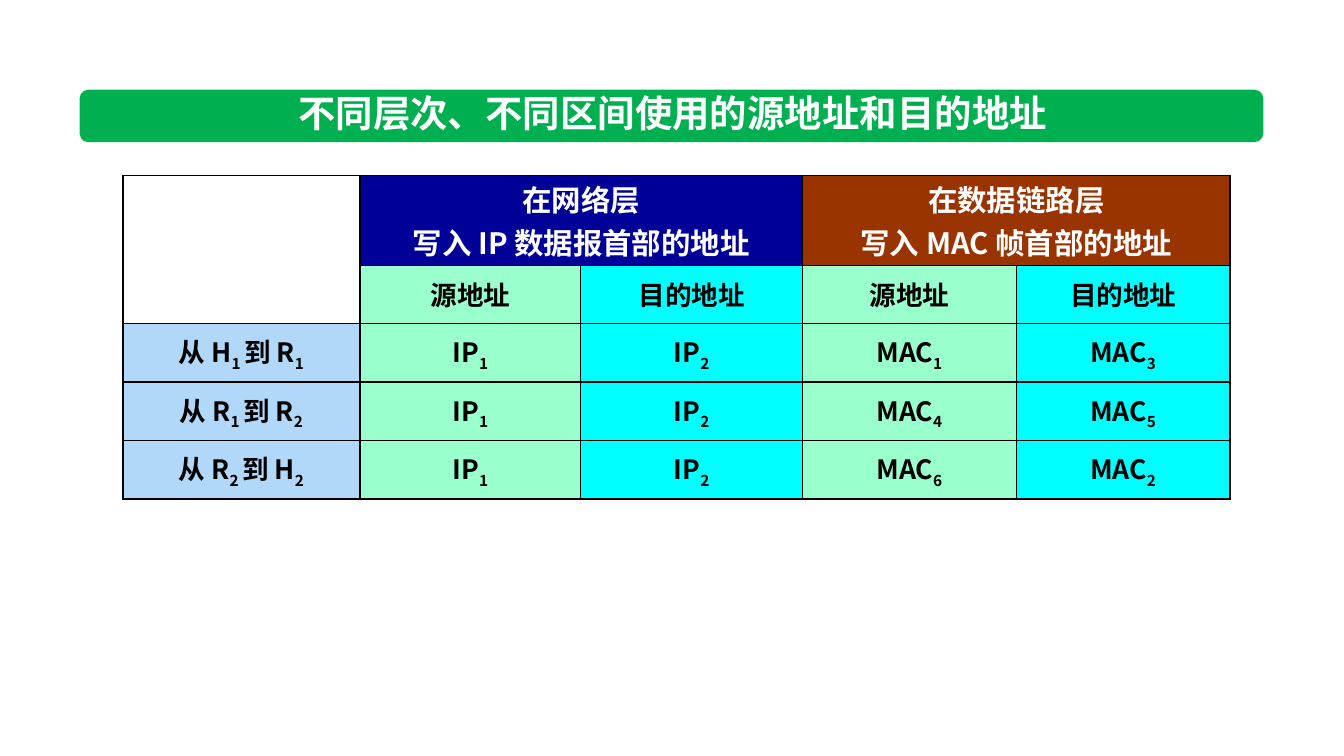
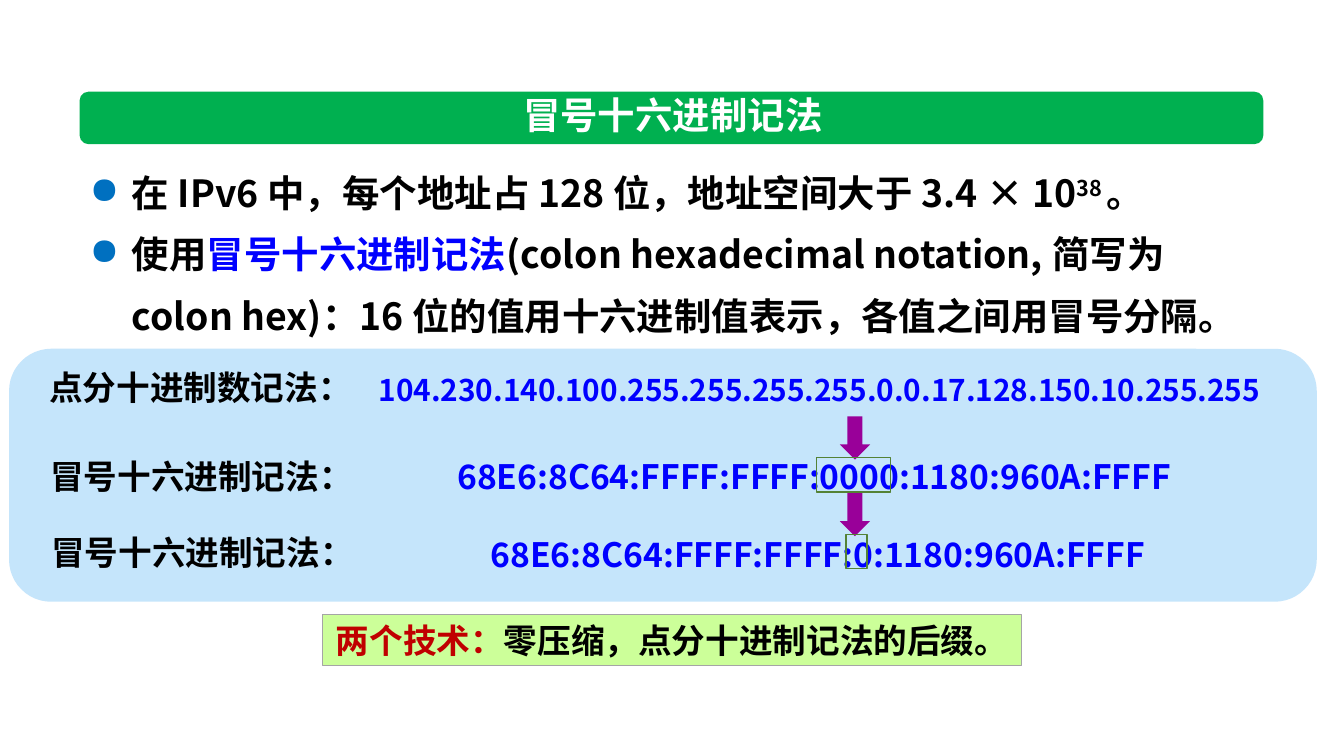
from lxml import etree
from pptx import Presentation
from pptx.dml.color import RGBColor
from pptx.enum.shapes import MSO_SHAPE as SHAPE
from pptx.enum.text import MSO_ANCHOR as ANCHOR, PP_ALIGN as ALIGN
from pptx.oxml import parse_xml
from pptx.oxml.ns import nsdecls, qn
from pptx.util import Inches, Pt

FONT = "Noto Sans CJK SC"
COLORS = {
    "black": "000000", "white": "FFFFFF", "blue": "0000FF", "red": "C00000",
    "title": "00B050", "network": "000099", "link": "993300",
    "source": "99FFCC", "target": "00FFFF", "route": "B1D8F9",
    "panel": "C5E5FB", "bullet": "0070C0", "arrow": "990099",
    "outline": "548235", "note": "CCFF99", "note line": "A5A5A5",
}


def write(frame, paragraphs, size, align=ALIGN.CENTER):
    for index, spans in enumerate(paragraphs):
        para = frame.paragraphs[0] if index == 0 else frame.add_paragraph()
        para.alignment = align
        for text, color, baseline in spans:
            span = para.add_run()
            span.text = text
            span.font.size = Pt(size)
            span.font.bold = True
            span.font.name = FONT
            span.font.color.rgb = RGBColor.from_string(COLORS[color])
            props = span.font._element
            etree.SubElement(props, qn("a:ea")).set("typeface", FONT)
            if baseline:
                props.set("baseline", str(baseline * 1000))


def add_block(page, preset, place, fill=None, line=None, width=1):
    block = page.shapes.add_shape(preset, *map(Inches, place))
    block.shadow.inherit = False
    if fill:
        block.fill.solid()
        block.fill.fore_color.rgb = RGBColor.from_string(COLORS[fill])
    else:
        block.fill.background()
    if line:
        block.line.color.rgb = RGBColor.from_string(COLORS[line])
        block.line.width = Pt(width)
    else:
        block.line.fill.background()
    return block


deck = Presentation()
deck.slide_width, deck.slide_height = Inches(13.33), Inches(7.5)

pages = []
for title, top in [("不同层次、不同区间使用的源地址和目的地址", 0.89), ("冒号十六进制记法", 0.91)]:
    page = deck.slides.add_slide(deck.slide_layouts[6])
    add_block(page, SHAPE.ROUNDED_RECTANGLE, (0.79, top, 11.74, 0.52), "title")
    box = page.shapes.add_textbox(Inches(2.84), Inches(top - 0.05), Inches(7.67), Inches(0.55))
    box.text_frame.word_wrap = True
    write(box.text_frame, [[(title, "white", 0)]], 26.7)
    pages.append(page)
address_page, notation_page = pages

widths = [2.35, 2.19, 2.2, 2.12, 2.12]
heights = [0.89] + [0.58] * 4
table = address_page.shapes.add_table(
    len(heights), len(widths), Inches(1.22), Inches(1.74),
    Inches(sum(widths)), Inches(sum(heights))).table
for column, width in zip(table.columns, widths):
    column.width = Inches(width)
for row, height in zip(table.rows, heights):
    row.height = Inches(height)

column_fills = ["route", "source", "target", "source", "target"]
for row in range(len(heights)):
    for column, fill in enumerate(column_fills):
        cell = table.cell(row, column)
        cell.vertical_anchor = ANCHOR.MIDDLE
        cell.margin_left = cell.margin_right = Inches(0.1)
        cell.margin_top = cell.margin_bottom = 0
        if row < 2 and column == 0:
            cell.fill.background()
        else:
            if row == 0:
                fill = "network" if column < 3 else "link"
            cell.fill.solid()
            cell.fill.fore_color.rgb = RGBColor.from_string(COLORS[fill])
        for order, side in enumerate("LRTB"):
            cell._tc.get_or_add_tcPr().insert(order, parse_xml(
                f'<a:ln{side} {nsdecls("a")} w="12700"><a:solidFill>'
                f'<a:srgbClr val="{COLORS["black"]}"/></a:solidFill></a:ln{side}>'))

table.cell(0, 0).merge(table.cell(1, 0))
headings = [("在网络层", "写入 IP 数据报首部的地址"), ("在数据链路层", "写入 MAC 帧首部的地址")]
for column, lines in zip((1, 3), headings):
    heading = table.cell(0, column)
    heading.merge(table.cell(0, column + 1))
    write(heading.text_frame, [[(line, "white", 0)] for line in lines], 21)
    for offset, label in enumerate(["源地址", "目的地址"]):
        write(table.cell(1, column + offset).text_frame, [[(label, "black", 0)]], 19)

hops = [
    ("H1", "R1", "MAC1", "MAC3"),
    ("R1", "R2", "MAC4", "MAC5"),
    ("R2", "H2", "MAC6", "MAC2"),
]
for row, (start, end, *macs) in enumerate(hops, 2):
    route = [("从 " + start[0], "black", 0), (start[1] + " ", "black", -25),
             ("到 " + end[0], "black", 0), (end[1], "black", -25)]
    write(table.cell(row, 0).text_frame, [route], 19)
    for column, name in enumerate(["IP1", "IP2", *macs], 1):
        address = [(name[:-1], "black", 0), (name[-1], "black", -25)]
        write(table.cell(row, column).text_frame, [address], 19)

add_block(notation_page, SHAPE.ROUNDED_RECTANGLE, (0.09, 3.46, 12.97, 2.51), "panel")

body = notation_page.shapes.add_textbox(Inches(0.79), Inches(1.47), Inches(11.74), Inches(1.89))
body.text_frame.word_wrap = True
write(body.text_frame, [
    [("在 IPv6 中，每个地址占 128 位，地址空间大于 3.4 × 10", "black", 0),
     ("38 ", "black", 30), ("。", "black", 0)],
    [("使用", "black", 0), ("冒号十六进制记法", "blue", 0),
     ("(colon hexadecimal notation, 简写为 colon hex)：16 位的值用十六进制值表示，各值之间用冒号分隔。",
      "black", 0)],
], 26.7, ALIGN.LEFT)
for para in body.text_frame.paragraphs:
    para.line_spacing = Pt(44)
    props = para._p.get_or_add_pPr()
    props.set("marL", str(Inches(0.42)))
    props.set("indent", str(-Inches(0.42)))
    color = etree.SubElement(props, qn("a:buClr"))
    etree.SubElement(color, qn("a:srgbClr")).set("val", COLORS["bullet"])
    etree.SubElement(props, qn("a:buChar")).set("char", "●")

notations = [
    ("点分十进制数记法：", 0.39, 3.59,
     "104.230.140.100.255.255.255.255.0.0.17.128.150.10.255.255", 3.31, 3.64, 9.64, 21.3),
    ("冒号十六进制记法：", 0.4, 4.47,
     "68E6:8C64:FFFF:FFFF:0000:1180:960A:FFFF", 4.26, 4.47, 7.63, 24),
    ("冒号十六进制记法：", 0.41, 5.23,
     "68E6:8C64:FFFF:FFFF:0:1180:960A:FFFF", 4.65, 5.25, 6.92, 24),
]
for label, label_left, label_top, value, left, top, width, size in notations:
    box = notation_page.shapes.add_textbox(
        Inches(label_left), Inches(label_top), Inches(3.23), Inches(0.5))
    box.text_frame.word_wrap = False
    write(box.text_frame, [[(label, "black", 0)]], 24, ALIGN.LEFT)
    box = notation_page.shapes.add_textbox(Inches(left), Inches(top), Inches(width), Inches(0.5))
    box.text_frame.word_wrap = True
    write(box.text_frame, [[(value, "blue", 0)]], size)

for top in (4.13, 4.89):
    add_block(notation_page, SHAPE.DOWN_ARROW, (8.33, top, 0.3, 0.43), "arrow")
for left, top, width in [(8.1, 4.54, 0.73), (8.39, 5.3, 0.21)]:
    add_block(notation_page, SHAPE.RECTANGLE, (left, top, width, 0.34), line="outline")

note = add_block(notation_page, SHAPE.RECTANGLE, (3.2, 6.1, 6.93, 0.5), "note", "note line", 0.5)
note.text_frame.word_wrap = False
write(note.text_frame, [[("两个技术：", "red", 0), ("零压缩，点分十进制记法的后缀。", "black", 0)]], 24)

deck.save("out.pptx")
